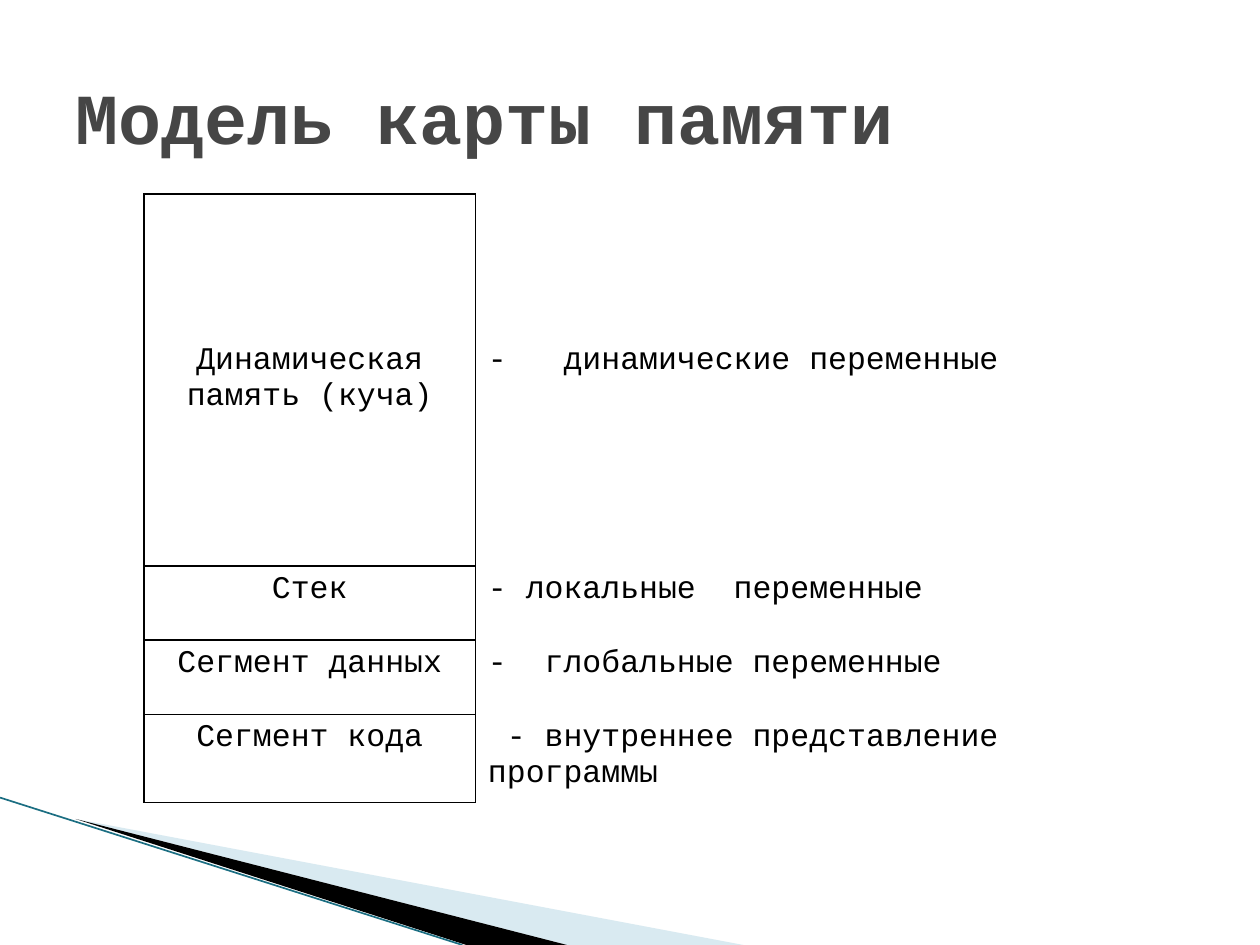
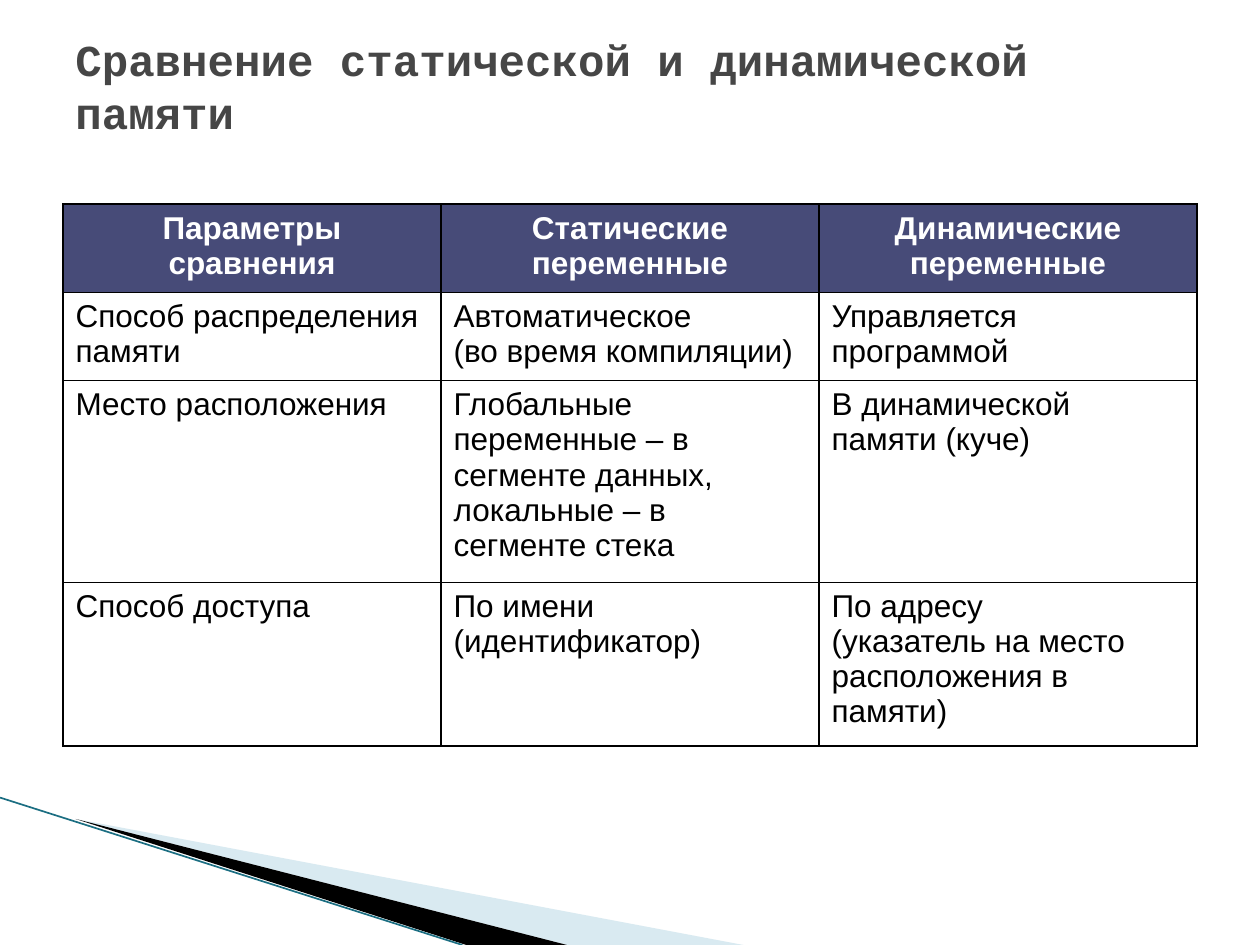
from dataclasses import dataclass
from typing import Optional

from lxml import etree
from pptx import Presentation
from pptx.dml.color import RGBColor
from pptx.enum.shapes import MSO_CONNECTOR
from pptx.enum.text import MSO_ANCHOR, PP_ALIGN
from pptx.oxml.ns import qn
from pptx.util import Inches, Pt

# The slide is a grid of 100 columns by 75 rows of square cells.
GRID_COLUMNS, GRID_ROWS = 100, 75
GRID_CELL = Inches(0.1)

BLACK = RGBColor(0x00, 0x00, 0x00)
WHITE = RGBColor(0xFF, 0xFF, 0xFF)
TITLE_GREY = RGBColor(0x46, 0x46, 0x46)
HEADER_BLUE = RGBColor(0x47, 0x4B, 0x78)
PALE_BLUE = RGBColor(0xA0, 0xCB, 0xDC)
TEAL = RGBColor(0x1B, 0x6E, 0x82)

MONOSPACE, SANS = "Courier New", "Arial"
BODY_SIZE = Pt(18)
CHARACTER_WIDTH = Inches(0.15)  # one Courier New character at 18 pt
STRAIGHT = MSO_CONNECTOR.STRAIGHT
TOP, LEFT, CENTER = MSO_ANCHOR.TOP, PP_ALIGN.LEFT, PP_ALIGN.CENTER
ALL_SIDES = "LRTB"


@dataclass(frozen=True)
class Title:
    """A slide title, its size in points and its place in grid cells."""
    text: str
    size: float
    top: float
    height: float
    top_inset: float


@dataclass(frozen=True)
class Wedge:
    """A triangle of the corner decoration, in grid cells."""
    points: tuple
    color: RGBColor
    opacity: Optional[int] = None


@dataclass(frozen=True)
class CellStyle:
    """How a table cell looks."""
    font: str
    align: int = LEFT
    borders: str = ALL_SIDES
    color: RGBColor = BLACK
    bold: bool = False
    fill: Optional[RGBColor] = None


@dataclass(frozen=True)
class Segment:
    """A memory segment, its contents, and character counts for the gaps."""
    name: str
    contents: str
    height: float
    top_inset: float = 0.5
    margin: int = 0
    indent: int = 0


WEDGES = (
    Wedge(((5.5, 65), (58.9, 75), (45, 75)), PALE_BLUE, 40),
    Wedge(((5.5, 65), (45.2, 75), (36.8, 75)), BLACK),
)
EDGE_LINE = ((0, 63.3), (36.7, 75))

NAME_STYLE = CellStyle(MONOSPACE, CENTER)
CONTENTS_STYLE = CellStyle(MONOSPACE, borders="L")
HEADER_STYLE = CellStyle(SANS, CENTER, color=WHITE, bold=True, fill=HEADER_BLUE)
PLAIN_STYLE = CellStyle(SANS)

MEMORY_TITLE = Title("Модель карты памяти", 41, 3, 12.5, 2.8)
SEGMENTS = (
    Segment("Динамическая память (куча)", "-\tдинамические переменные", 29.5,
            top_inset=11.85, margin=4, indent=-4),
    Segment("Стек", "- локальные  переменные", 5.9),
    Segment("Сегмент данных", "-\tглобальные переменные", 5.9, margin=3, indent=-3),
    Segment("Сегмент кода", "- внутреннее представление программы", 5.9, indent=1),
)

COMPARISON_TITLE = Title("Сравнение статической и динамической памяти",
                         25.2, 2.6, 8.1, 0)
COMPARISON = (
    ("Параметры сравнения", "Статические переменные", "Динамические переменные"),
    ("Способ распределения памяти", "Автоматическое\n(во время компиляции)",
     "Управляется программой"),
    ("Место расположения",
     "Глобальные переменные – в сегменте данных,\nлокальные – в сегменте стека",
     "В динамической памяти (куче)"),
    ("Способ доступа", "По имени (идентификатор)",
     "По адресу\n(указатель на место расположения в памяти)"),
)
# Least row height; rows grow to hold their text.
COMPARISON_HEIGHTS = (4.1,) * len(COMPARISON)


def grid(cells: float) -> int:
    """Turn a number of grid cells into a length."""
    return round(cells * GRID_CELL)


def draw_wedge(slide, wedge: Wedge) -> None:
    """Draw one triangle of the corner decoration."""
    start, *others = wedge.points
    builder = slide.shapes.build_freeform(*start, scale=GRID_CELL)
    builder.add_line_segments(others, close=True)
    shape = builder.convert_to_shape()
    shape.shadow.inherit = False
    shape.line.fill.background()
    shape.fill.solid()
    shape.fill.fore_color.rgb = wedge.color
    if wedge.opacity:
        color = shape.fill._xPr.find(".//" + qn("a:srgbClr"))
        etree.SubElement(color, qn("a:alpha"), val=str(wedge.opacity * 1000))


def draw_edge_line(slide) -> None:
    """Draw the thin line along the lower edge of the decoration."""
    start, end = EDGE_LINE
    ends = [grid(value) for value in start + end]
    connector = slide.shapes.add_connector(STRAIGHT, *ends)
    connector.line.color.rgb = TEAL
    connector.line.width = Pt(0.95)
    etree.SubElement(connector._element.spPr, qn("a:effectLst"))


def draw_title(slide, title: Title) -> None:
    """Write the slide title."""
    box = slide.shapes.add_textbox(
        grid(5), grid(title.top), grid(90), grid(title.height))
    frame = box.text_frame
    frame.word_wrap = True
    frame.vertical_anchor = TOP
    frame.margin_top = grid(title.top_inset)
    frame.text = title.text
    font = frame.paragraphs[0].runs[0].font
    font.name, font.size, font.bold = MONOSPACE, Pt(title.size), True
    font.color.rgb = TITLE_GREY


def add_titled_slide(presentation, title: Title):
    """Add a blank slide with the shared decoration and a title."""
    slide = presentation.slides.add_slide(presentation.slide_layouts[6])
    for wedge in WEDGES:
        draw_wedge(slide, wedge)
    draw_edge_line(slide)
    draw_title(slide, title)
    return slide


def add_grid_table(slide, left: float, top: float, widths: tuple, heights: tuple):
    """Add a table without banding, measured in grid cells."""
    table = slide.shapes.add_table(
        len(heights), len(widths), grid(left), grid(top),
        grid(sum(widths)), grid(sum(heights))).table
    table.first_row = table.horz_banding = False
    for column, width in zip(table.columns, widths):
        column.width = grid(width)
    for row, height in zip(table.rows, heights):
        row.height = grid(height)
    return table


def set_borders(cell, sides: str) -> None:
    """Draw black borders on the given sides and clear the others."""
    properties = cell._tc.get_or_add_tcPr()
    for side in ALL_SIDES:
        line = etree.SubElement(properties, qn(f"a:ln{side}"), w=str(Pt(1)))
        if side in sides:
            fill = etree.SubElement(line, qn("a:solidFill"))
            etree.SubElement(fill, qn("a:srgbClr"), val=str(BLACK))
        else:
            etree.SubElement(line, qn("a:noFill"))


def write_cell(cell, text: str, style: CellStyle) -> None:
    """Fill a cell with text in a style."""
    set_borders(cell, style.borders)
    if style.fill is None:
        cell.fill.background()
    else:
        cell.fill.solid()
        cell.fill.fore_color.rgb = style.fill
    cell.text_frame.text = text
    for paragraph in cell.text_frame.paragraphs:
        paragraph.alignment = style.align
        for run in paragraph.runs:
            font = run.font
            font.name, font.size, font.bold = style.font, BODY_SIZE, style.bold
            font.color.rgb = style.color


def set_gaps(paragraph, segment: Segment) -> None:
    """Set the left margin and the first-line indent."""
    properties = paragraph._p.get_or_add_pPr()
    properties.set("marL", str(segment.margin * CHARACTER_WIDTH))
    properties.set("indent", str(segment.indent * CHARACTER_WIDTH))


def build_memory_slide(presentation) -> None:
    """Build the memory map with a note beside each segment."""
    slide = add_titled_slide(presentation, MEMORY_TITLE)
    heights = tuple(segment.height for segment in SEGMENTS)
    table = add_grid_table(slide, 11.43, 15.4, (26.3, 45.3), heights)
    for row, segment in enumerate(SEGMENTS):
        name, contents = table.cell(row, 0), table.cell(row, 1)
        write_cell(name, segment.name, NAME_STYLE)
        write_cell(contents, segment.contents, CONTENTS_STYLE)
        name.margin_top = contents.margin_top = grid(segment.top_inset)
        set_gaps(contents.text_frame.paragraphs[0], segment)


def build_comparison_slide(presentation) -> None:
    """Build the table comparing static and dynamic memory."""
    slide = add_titled_slide(presentation, COMPARISON_TITLE)
    table = add_grid_table(slide, 5, 16.2, (30, 30, 30), COMPARISON_HEIGHTS)
    for row, texts in enumerate(COMPARISON):
        style = PLAIN_STYLE if row else HEADER_STYLE
        for column, text in enumerate(texts):
            write_cell(table.cell(row, column), text, style)


def main() -> None:
    """Build and save the presentation."""
    presentation = Presentation()
    presentation.slide_width = grid(GRID_COLUMNS)
    presentation.slide_height = grid(GRID_ROWS)
    build_memory_slide(presentation)
    build_comparison_slide(presentation)
    presentation.save("out.pptx")


main()
